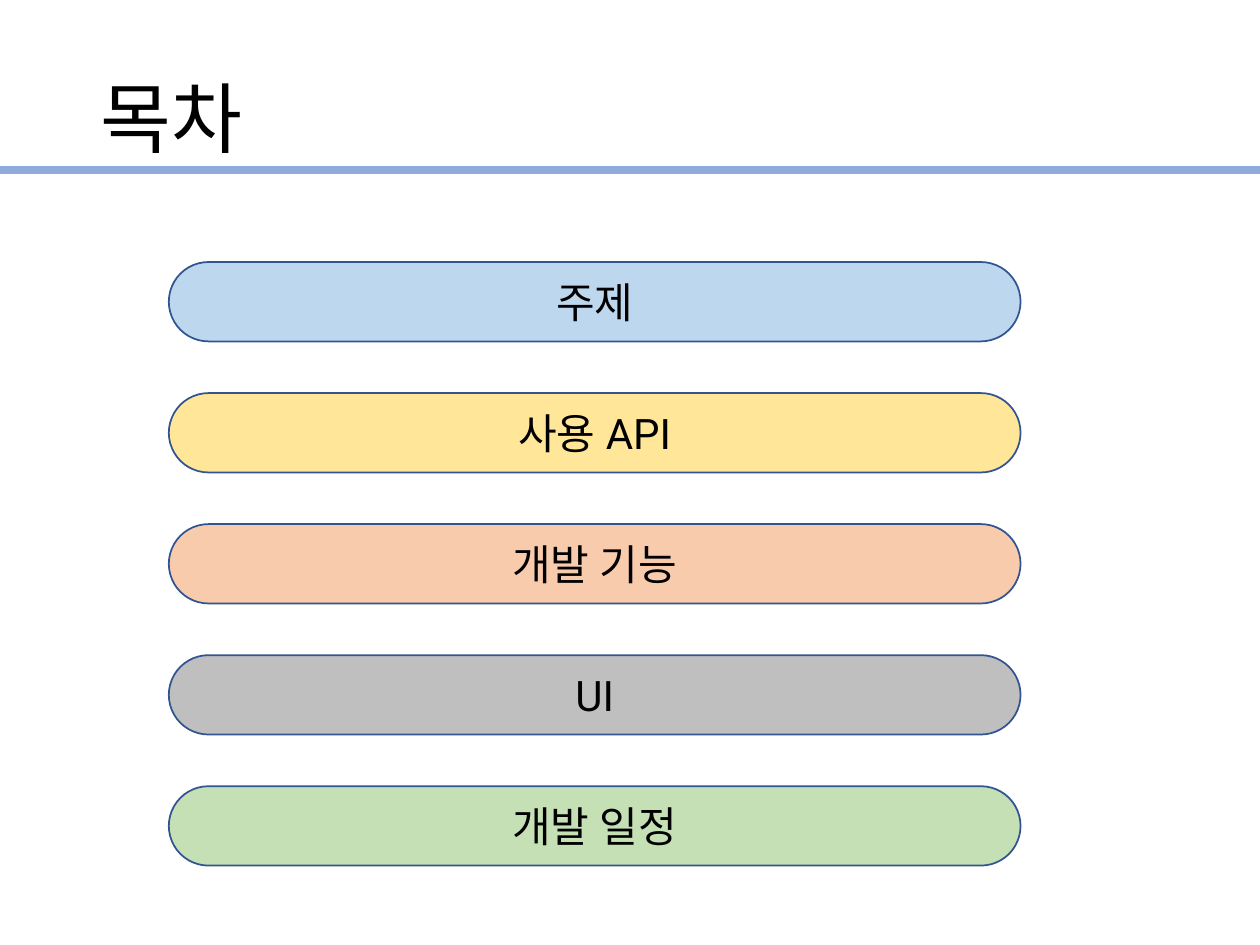
from lxml import etree
from pptx import Presentation
from pptx.dml.color import RGBColor
from pptx.enum.shapes import MSO_CONNECTOR as Conn, MSO_SHAPE as Shape
from pptx.enum.text import MSO_ANCHOR as Anchor, MSO_AUTO_SIZE as Fit, PP_ALIGN as Align
from pptx.oxml.ns import qn
from pptx.util import Inches, Pt

FONT = "Roboto"
# Grid of the topic bars, in inches
LEFT, TOP, WIDE, HIGH, STEP = 1.34, 2.08, 6.76, 0.63, 1.04
TOPICS = [
    ("주제", "BDD7EE"),
    ("사용 API", "FFE699"),
    ("개발 기능", "F8CBAD"),
    ("UI", "BFBFBF"),
    ("개발 일정", "C5E0B4"),
]


def color(code):
    return RGBColor.from_string(code)


def write(frame, text, size):
    """Add one centred run, in the same font for Latin and Hangul."""
    frame.vertical_anchor = Anchor.MIDDLE
    para = frame.paragraphs[0]
    para.alignment = Align.CENTER
    run = para.add_run()
    run.text = text
    run.font.size = Pt(size)
    run.font.name = FONT
    run.font.color.rgb = color("000000")
    props = run.font._element
    etree.SubElement(props, qn("a:ea")).set("typeface", FONT)


def add_title(slide, text):
    title = slide.shapes.title
    title.left, title.top = Inches(0.68), Inches(0.51)
    title.width, title.height = Inches(1.36), Inches(0.84)
    frame = title.text_frame
    frame.auto_size = Fit.NONE
    frame.word_wrap = False
    write(frame, text, 44)


def add_rule(slide, y, width):
    rule = slide.shapes.add_connector(Conn.STRAIGHT, 0, Inches(y), width, Inches(y))
    rule.line.color.rgb = color("8FAADC")
    rule.line.width = Pt(4.5)
    etree.SubElement(rule._element.spPr, qn("a:effectLst"))


def add_bar(slide, row, text, fill):
    bar = slide.shapes.add_shape(
        Shape.ROUNDED_RECTANGLE,
        Inches(LEFT), Inches(TOP + row * STEP), Inches(WIDE), Inches(HIGH))
    bar.adjustments[0] = 0.5
    bar.shadow.inherit = False
    bar.fill.solid()
    bar.fill.fore_color.rgb = color(fill)
    bar.line.color.rgb = color("325491")
    bar.line.width = Pt(1)
    frame = bar.text_frame
    frame.word_wrap = True
    frame.margin_left = frame.margin_right = Inches(0.07)
    frame.margin_top = frame.margin_bottom = Inches(0.04)
    write(frame, text, 24)


def main():
    deck = Presentation()
    deck.slide_width, deck.slide_height = Inches(10), Inches(7.5)
    slide = deck.slides.add_slide(deck.slide_layouts[5])  # title only

    # Heading and the line below it
    add_title(slide, "목차")
    add_rule(slide, 1.35, deck.slide_width)

    # One bar per topic
    for row, (text, fill) in enumerate(TOPICS):
        add_bar(slide, row, text, fill)

    deck.save("out.pptx")


if __name__ == "__main__":
    main()
